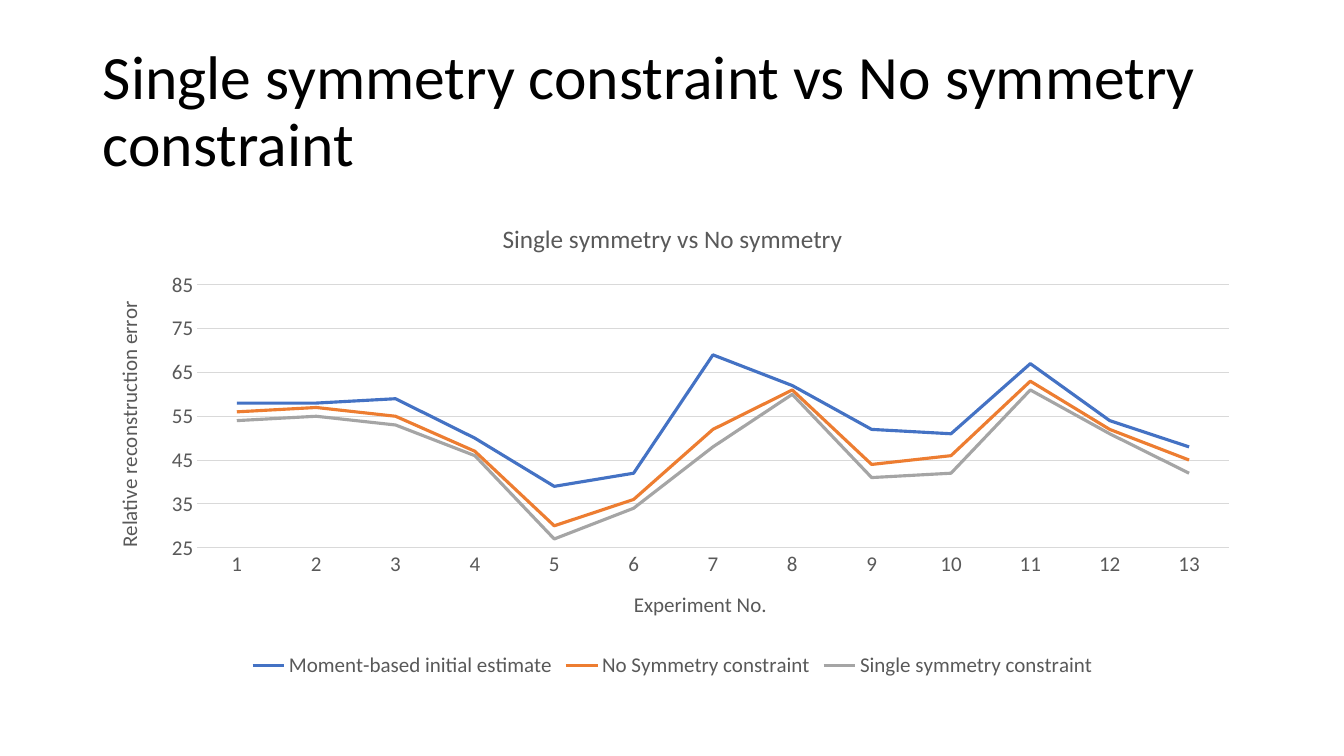
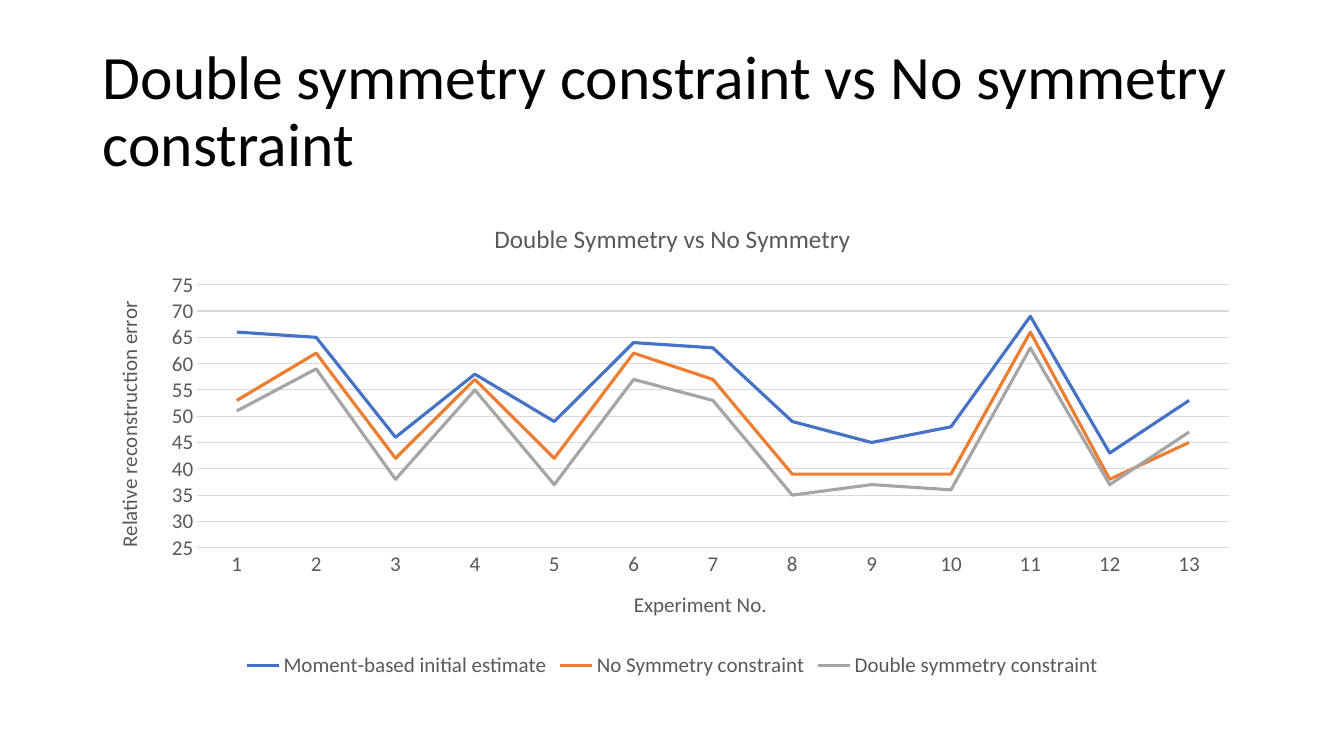
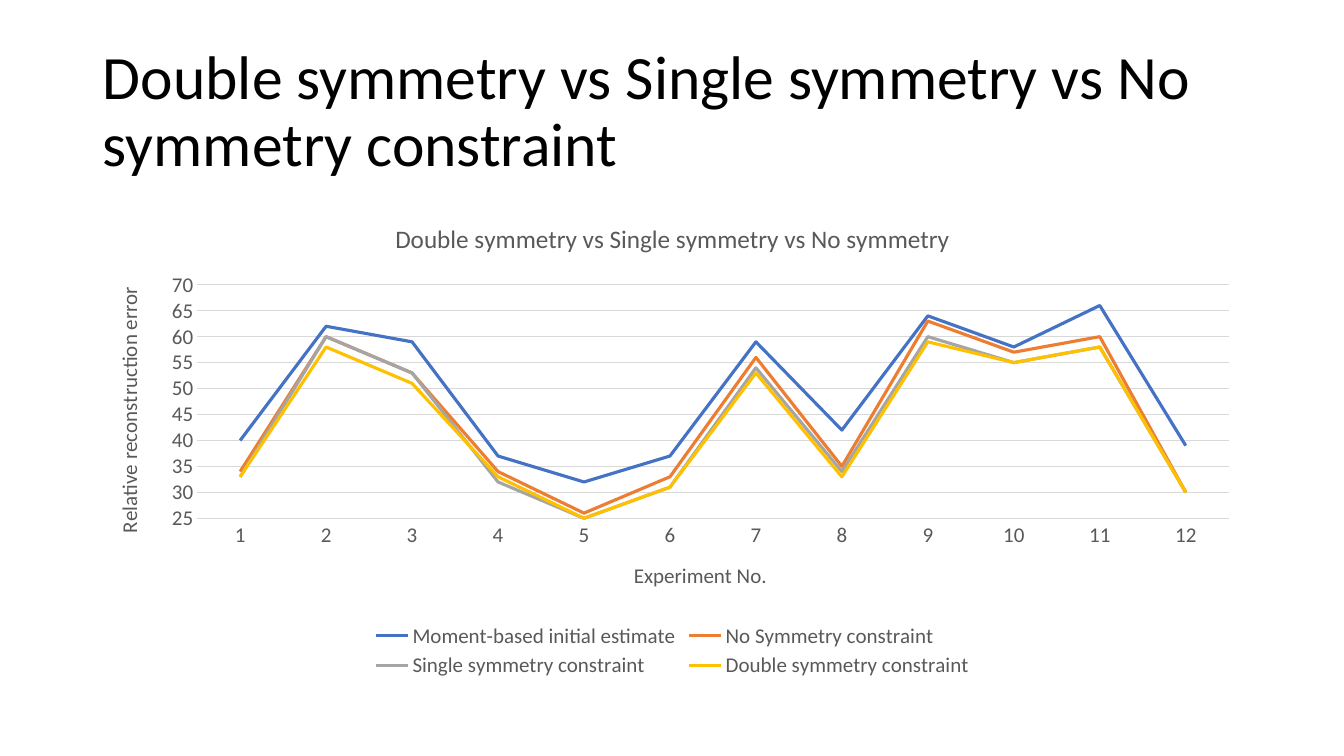
"""Builds three slides that compare reconstruction errors under symmetry constraints."""
from dataclasses import dataclass

from pptx import Presentation
from pptx.chart.axis import CategoryAxis, ValueAxis
from pptx.chart.chart import Chart
from pptx.chart.data import CategoryChartData
from pptx.dml.color import RGBColor
from pptx.enum.chart import XL_CHART_TYPE, XL_LEGEND_POSITION, XL_TICK_MARK
from pptx.enum.text import MSO_ANCHOR
from pptx.slide import Slide
from pptx.text.text import Font, TextFrame
from pptx.util import Emu, Pt

EMU_PER_PIXEL = 914400 / 100.8


@dataclass(frozen=True)
class Theme:
    """Colours, type sizes and line widths shared by all slides."""
    font: str = "Calibri"
    title_color: str = "000000"
    chart_text_color: str = "595959"
    grid_color: str = "D9D9D9"
    series_colors: tuple[str, ...] = ("4472C4", "ED7D31", "A5A5A5", "FFC000")
    title_size: int = 44
    chart_title_size: int = 18
    chart_text_size: int = 15
    title_line_spacing: float = 0.9
    grid_width: float = 0.75
    series_width: float = 2.25


@dataclass(frozen=True)
class Box:
    """A rectangle in pixels."""
    left: int
    top: int
    width: int
    height: int

    def to_emu(self) -> tuple[Emu, Emu, Emu, Emu]:
        """Return left, top, width and height in EMU."""
        return (pixels(self.left), pixels(self.top),
                pixels(self.width), pixels(self.height))


@dataclass(frozen=True)
class Comparison:
    """One slide: its title, its chart and the range of the error axis."""
    title: str
    chart_title: str
    maximum: int
    major_unit: int
    errors: dict[str, tuple[int, ...]]


THEME = Theme()
SLIDE_WIDTH, SLIDE_HEIGHT = 1344, 756
TITLE_BOX = Box(93, 40, 1159, 146)
CHART_BOX = Box(93, 202, 1159, 480)
ERROR_MINIMUM = 25

MOMENT = "Moment-based initial estimate"
NONE = "No Symmetry constraint"
SINGLE = "Single symmetry constraint"
DOUBLE = "Double symmetry constraint"

COMPARISONS = (
    Comparison(
        "Single symmetry constraint vs No symmetry constraint",
        "Single symmetry vs No symmetry", 85, 10,
        {MOMENT: (58, 58, 59, 50, 39, 42, 69, 62, 52, 51, 67, 54, 48),
         NONE: (56, 57, 55, 47, 30, 36, 52, 61, 44, 46, 63, 52, 45),
         SINGLE: (54, 55, 53, 46, 27, 34, 48, 60, 41, 42, 61, 51, 42)}),
    Comparison(
        "Double symmetry constraint vs No symmetry constraint",
        "Double Symmetry vs No Symmetry", 75, 5,
        {MOMENT: (66, 65, 46, 58, 49, 64, 63, 49, 45, 48, 69, 43, 53),
         NONE: (53, 62, 42, 57, 42, 62, 57, 39, 39, 39, 66, 38, 45),
         DOUBLE: (51, 59, 38, 55, 37, 57, 53, 35, 37, 36, 63, 37, 47)}),
    Comparison(
        "Double symmetry vs Single symmetry vs No symmetry constraint",
        "Double symmetry vs Single symmetry vs No symmetry", 70, 5,
        {MOMENT: (40, 62, 59, 37, 32, 37, 59, 42, 64, 58, 66, 39),
         NONE: (34, 60, 53, 34, 26, 33, 56, 35, 63, 57, 60, 30),
         SINGLE: (33, 60, 53, 32, 25, 31, 54, 34, 60, 55, 58, 30),
         DOUBLE: (33, 58, 51, 33, 25, 31, 53, 33, 59, 55, 58, 30)}),
)


def pixels(count: int) -> Emu:
    """Turn pixels into EMU."""
    return Emu(round(count * EMU_PER_PIXEL))


def style_font(font: Font, size: int, color: str) -> None:
    """Apply the shared typeface with a size and a colour."""
    font.name = THEME.font
    font.size = Pt(size)
    font.bold = False
    font.color.rgb = RGBColor.from_string(color)


def write_text(text_frame: TextFrame, text: str, size: int, color: str) -> None:
    """Fill a text frame with one styled paragraph."""
    text_frame.text = text
    style_font(text_frame.paragraphs[0].font, size, color)


def add_title(slide: Slide, text: str) -> None:
    """Add the slide title."""
    text_frame = slide.shapes.add_textbox(*TITLE_BOX.to_emu()).text_frame
    text_frame.word_wrap = True
    text_frame.vertical_anchor = MSO_ANCHOR.MIDDLE
    write_text(text_frame, text, THEME.title_size, THEME.title_color)
    text_frame.paragraphs[0].line_spacing = THEME.title_line_spacing


def style_axis(axis: CategoryAxis | ValueAxis, title: str) -> None:
    """Give an axis its title, label font and no tick marks."""
    write_text(axis.axis_title.text_frame, title,
               THEME.chart_text_size, THEME.chart_text_color)
    style_font(axis.tick_labels.font, THEME.chart_text_size, THEME.chart_text_color)
    axis.major_tick_mark = XL_TICK_MARK.NONE
    axis.minor_tick_mark = XL_TICK_MARK.NONE


def style_axes(chart: Chart, comparison: Comparison) -> None:
    """Set up the experiment axis and the error axis with its grid."""
    experiment_axis, error_axis = chart.category_axis, chart.value_axis
    style_axis(experiment_axis, "Experiment No.")
    style_axis(error_axis, "Relative reconstruction error")
    error_axis.minimum_scale = ERROR_MINIMUM
    error_axis.maximum_scale = comparison.maximum
    error_axis.major_unit = comparison.major_unit
    error_axis.format.line.fill.background()
    error_axis.has_major_gridlines = True
    for line in (experiment_axis.format.line, error_axis.major_gridlines.format.line):
        line.color.rgb = RGBColor.from_string(THEME.grid_color)
        line.width = Pt(THEME.grid_width)


def add_error_chart(slide: Slide, comparison: Comparison) -> None:
    """Add the line chart of errors per experiment."""
    chart_data = CategoryChartData(number_format="0")
    experiment_count = len(comparison.errors[MOMENT])
    chart_data.categories = [str(number + 1) for number in range(experiment_count)]
    for name, errors in comparison.errors.items():
        chart_data.add_series(name, errors)
    chart = slide.shapes.add_chart(
        XL_CHART_TYPE.LINE, *CHART_BOX.to_emu(), chart_data).chart
    style_font(chart.font, THEME.chart_text_size, THEME.chart_text_color)

    write_text(chart.chart_title.text_frame, comparison.chart_title,
               THEME.chart_title_size, THEME.chart_text_color)
    chart.chart_title.include_in_layout = False
    chart.has_legend = True
    chart.legend.position = XL_LEGEND_POSITION.BOTTOM
    chart.legend.include_in_layout = False
    style_font(chart.legend.font, THEME.chart_text_size, THEME.chart_text_color)
    style_axes(chart, comparison)

    plot = chart.plots[0]
    plot.vary_by_categories = False
    for series, color in zip(plot.series, THEME.series_colors):
        series.smooth = False
        series.format.line.color.rgb = RGBColor.from_string(color)
        series.format.line.width = Pt(THEME.series_width)


def main() -> None:
    """Build and save the presentation."""
    presentation = Presentation()
    presentation.slide_width = pixels(SLIDE_WIDTH)
    presentation.slide_height = pixels(SLIDE_HEIGHT)
    blank_layout = presentation.slide_layouts[6]
    for comparison in COMPARISONS:
        slide = presentation.slides.add_slide(blank_layout)
        add_title(slide, comparison.title)
        add_error_chart(slide, comparison)
    presentation.save("out.pptx")


main()
